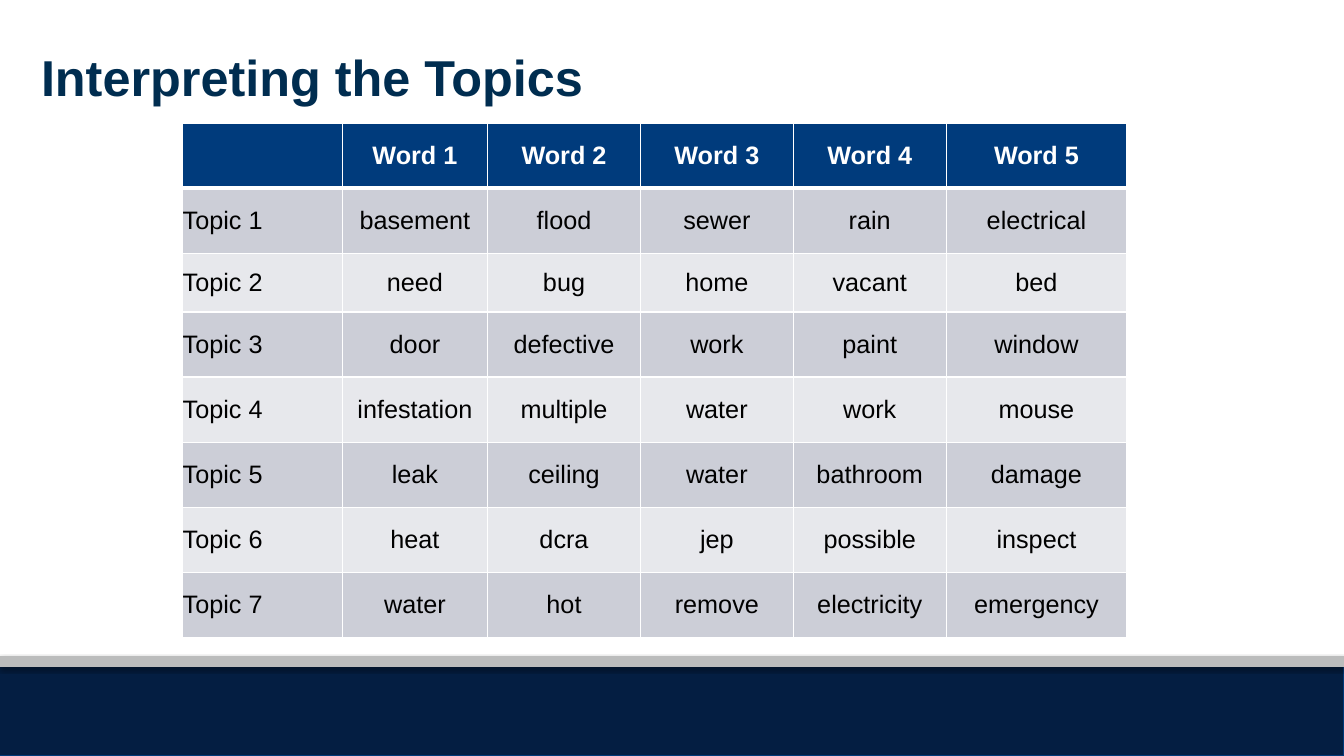
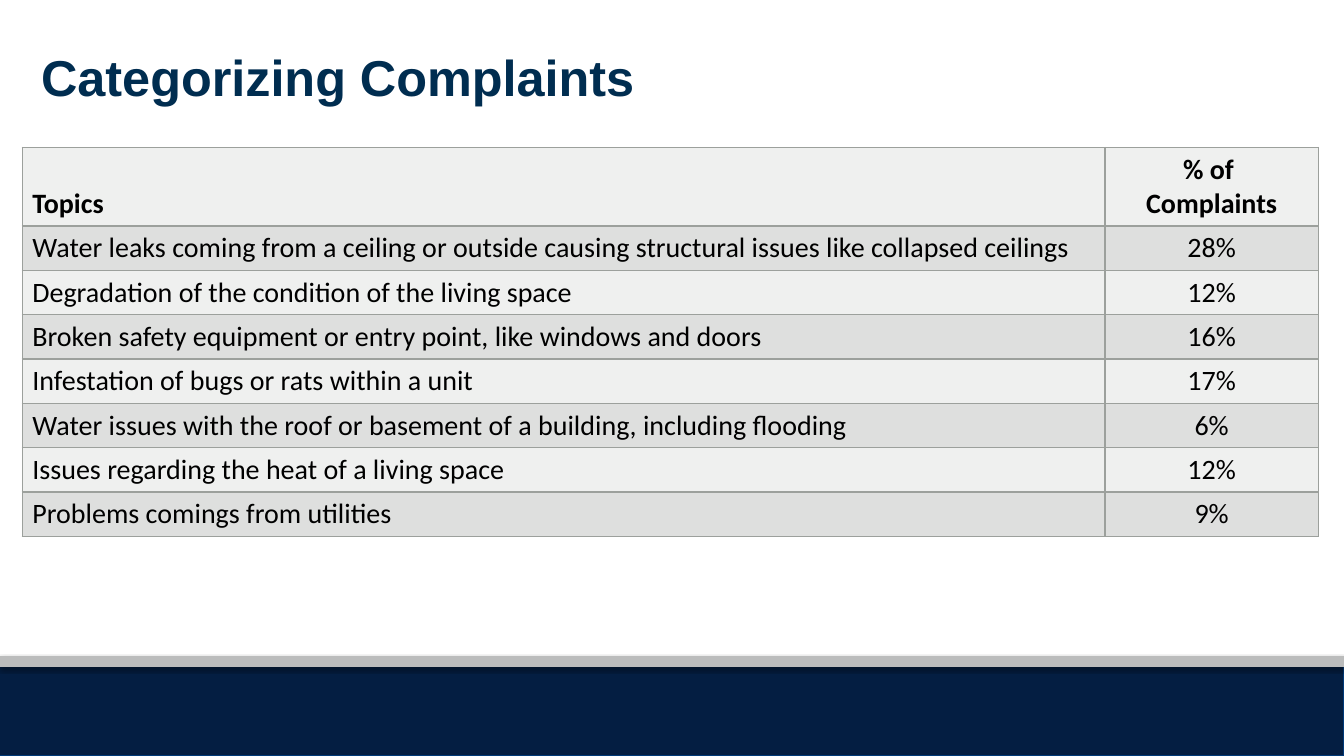
import lxml.etree
import pptx
import pptx.dml.color
import pptx.enum.shapes
import pptx.enum.text
import pptx.oxml.ns
import pptx.util

RGB = pptx.dml.color.RGBColor
ALIGN = pptx.enum.text.PP_ALIGN
ANCHOR = pptx.enum.text.MSO_ANCHOR
qn = pptx.oxml.ns.qn

BLACK = RGB(0x00, 0x00, 0x00)
WHITE = RGB(0xFF, 0xFF, 0xFF)
TITLE_BLUE = RGB(0x00, 0x2D, 0x50)
HEADER_BLUE = RGB(0x00, 0x3B, 0x7C)
NAVY = RGB(0x04, 0x1E, 0x42)
NAVY_EDGE = RGB(0x00, 0x3A, 0x79)
BAND_GRAY = RGB(0xBB, 0xBC, 0xBC)
BLUE_GRAY = RGB(0xCC, 0xCE, 0xD7)
PALE_BLUE_GRAY = RGB(0xE7, 0xE8, 0xEC)
GRAY = RGB(0xDE, 0xDF, 0xDE)
PALE_GRAY = RGB(0xEF, 0xF0, 0xEF)
RULE_GRAY = RGB(0x9C, 0xA0, 0x9C)

WORD_STYLE = {
    "font": "Arial", "size": 18, "header_fill": HEADER_BLUE, "header_color": WHITE,
    "fills": (BLUE_GRAY, PALE_BLUE_GRAY), "rule": WHITE, "header_rule": 3,
    "header_anchor": ANCHOR.MIDDLE, "anchor": ANCHOR.MIDDLE, "inset": 0,
}
SHARE_STYLE = {
    "font": "Calibri", "size": 20, "header_fill": PALE_GRAY, "header_color": BLACK,
    "fills": (GRAY, PALE_GRAY), "rule": RULE_GRAY, "header_rule": 1,
    "header_anchor": ANCHOR.BOTTOM, "anchor": ANCHOR.TOP, "inset": None,
}

TOPIC_WORDS = (
    "basement flood sewer rain electrical",
    "need bug home vacant bed",
    "door defective work paint window",
    "infestation multiple water work mouse",
    "leak ceiling water bathroom damage",
    "heat dcra jep possible inspect",
    "water hot remove electricity emergency",
)
COMPLAINT_SHARES = (
    ("Water leaks coming from a ceiling or outside causing structural issues like collapsed ceilings", "28%"),
    ("Degradation of the condition of the living space", "12%"),
    ("Broken safety equipment or entry point, like windows and doors", "16%"),
    ("Infestation of bugs or rats within a unit", "17%"),
    ("Water issues with the roof or basement of a building, including flooding", "6%"),
    ("Issues regarding the heat of a living space", "12%"),
    ("Problems comings from utilities", "9%"),
)


class Deck:
    """Build styled pages on a grid of 160 columns by 90 rows."""

    def __init__(self):
        self.deck = pptx.Presentation()
        self.deck.slide_width = pptx.util.Inches(13.33)
        self.deck.slide_height = pptx.util.Inches(7.5)
        self.page = None

    def across(self, columns):
        return round(self.deck.slide_width * columns / 160)

    def down(self, rows):
        return round(self.deck.slide_height * rows / 90)

    def place(self, left, top, width, height):
        return self.across(left), self.down(top), self.across(width), self.down(height)

    def add_page(self, title):
        self.page = self.deck.slides.add_slide(self.deck.slide_layouts[6])
        self.add_band(79.4, 10.6, NAVY, NAVY_EDGE)
        self.add_band(78.1, 1.3, BAND_GRAY)
        self.add_title(title)

    def add_band(self, top, height, color, edge=None):
        band = self.page.shapes.add_shape(
            pptx.enum.shapes.MSO_SHAPE.RECTANGLE, *self.place(0, top, 160, height))
        band.fill.solid()
        band.fill.fore_color.rgb = color
        if edge is None:
            band.line.fill.background()
        else:
            band.line.color.rgb = edge
            band.line.width = pptx.util.Pt(0.75)
        self.add_shadow(band)

    def add_shadow(self, shape):
        shape.shadow.inherit = False
        effects = shape._element.spPr.find(qn("a:effectLst"))
        shadow = lxml.etree.SubElement(
            effects, qn("a:outerShdw"), blurRad=str(pptx.util.Pt(3.1)),
            dist=str(pptx.util.Pt(1.8)), dir="5400000", rotWithShape="0")
        color = lxml.etree.SubElement(shadow, qn("a:srgbClr"), val=str(BLACK))
        lxml.etree.SubElement(color, qn("a:alpha"), val="35000")

    def add_title(self, text):
        box = self.page.shapes.add_textbox(*self.place(3.7, 4.45, 152, 10.2))
        box.text_frame.word_wrap = True
        box.text_frame.vertical_anchor = ANCHOR.MIDDLE
        para = box.text_frame.paragraphs[0]
        para.line_spacing = 0.9
        self.add_span(para, text, "Arial", 36, TITLE_BLUE, True)

    def add_span(self, para, text, font, size, color, bold):
        span = para.add_run()
        span.text = text
        span.font.name = font
        span.font.size = pptx.util.Pt(size)
        span.font.color.rgb = color
        span.font.bold = bold

    def add_table(self, left, top, widths, heights, rows, style):
        frame = self.page.shapes.add_table(
            len(rows), len(widths), *self.place(left, top, sum(widths), sum(heights)))
        table = frame.table
        table.first_row = False
        table.horz_banding = False
        for column, width in zip(table.columns, widths):
            column.width = self.across(width)
        for row, height in zip(table.rows, heights):
            row.height = self.down(height)
        for row_index, row in enumerate(rows):
            for column_index, text in enumerate(row):
                cell = table.cell(row_index, column_index)
                self.fill_cell(cell, text, row_index, column_index, style)

    def fill_cell(self, cell, text, row_index, column_index, style):
        header = row_index == 0
        self.add_borders(cell, row_index, style)
        cell.fill.solid()
        cell.fill.fore_color.rgb = (
            style["header_fill"] if header else style["fills"][(row_index - 1) % 2])
        cell.vertical_anchor = style["header_anchor"] if header else style["anchor"]
        if style["inset"] is not None:
            cell.margin_left = cell.margin_right = style["inset"]
            cell.margin_top = cell.margin_bottom = style["inset"]
        if not text:
            return
        for index, line in enumerate(text.split("\n")):
            paras = cell.text_frame
            para = paras.add_paragraph() if index else paras.paragraphs[0]
            para.alignment = ALIGN.CENTER if column_index else ALIGN.LEFT
            color = style["header_color"] if header else BLACK
            self.add_span(para, line, style["font"], style["size"], color, header)

    def add_borders(self, cell, row_index, style):
        properties = cell._tc.get_or_add_tcPr()
        top = style["header_rule"] if row_index == 1 else 1
        bottom = style["header_rule"] if row_index == 0 else 1
        for side, width in (("L", 1), ("R", 1), ("T", top), ("B", bottom)):
            line = lxml.etree.SubElement(
                properties, qn("a:ln" + side), w=str(pptx.util.Pt(width)))
            fill = lxml.etree.SubElement(line, qn("a:solidFill"))
            lxml.etree.SubElement(fill, qn("a:srgbClr"), val=str(style["rule"]))

    def save(self):
        self.deck.save("out.pptx")


def main():
    deck = Deck()

    deck.add_page("Interpreting the Topics")
    word_rows = [[""] + [f"Word {number}" for number in range(1, 6)]]
    for number, words in enumerate(TOPIC_WORDS, 1):
        word_rows.append([f"Topic {number}"] + words.split())
    deck.add_table(21.75, 14.65, [19, 17.3] + [18.2] * 3 + [21.5],
                   [7.75] * 2 + [7] + [7.75] * 5, word_rows, WORD_STYLE)

    deck.add_page("Categorizing Complaints")
    share_rows = [("Topics", "% of \nComplaints"), *COMPLAINT_SHARES]
    deck.add_table(2.65, 17.55, [128.9, 25.4],
                   [9.35] + [5.28] * 7, share_rows, SHARE_STYLE)

    deck.save()


if __name__ == "__main__":
    main()
